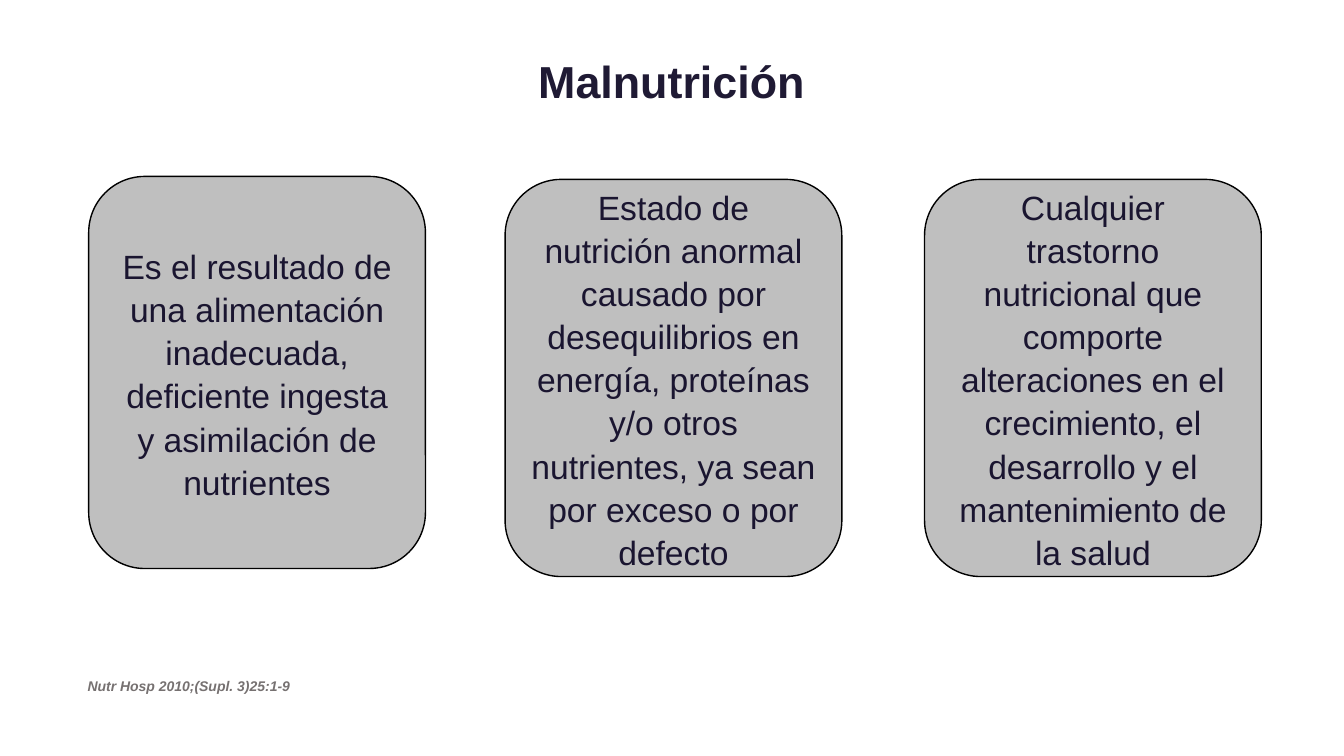
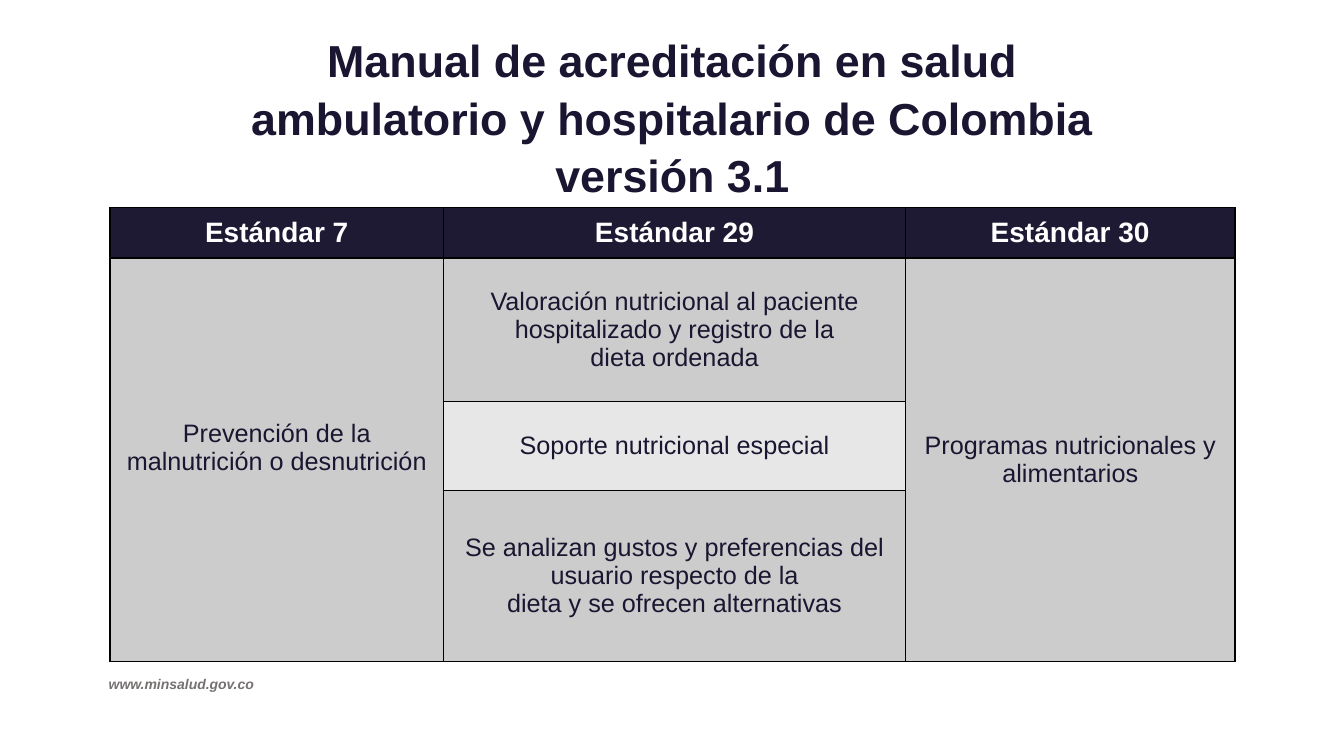
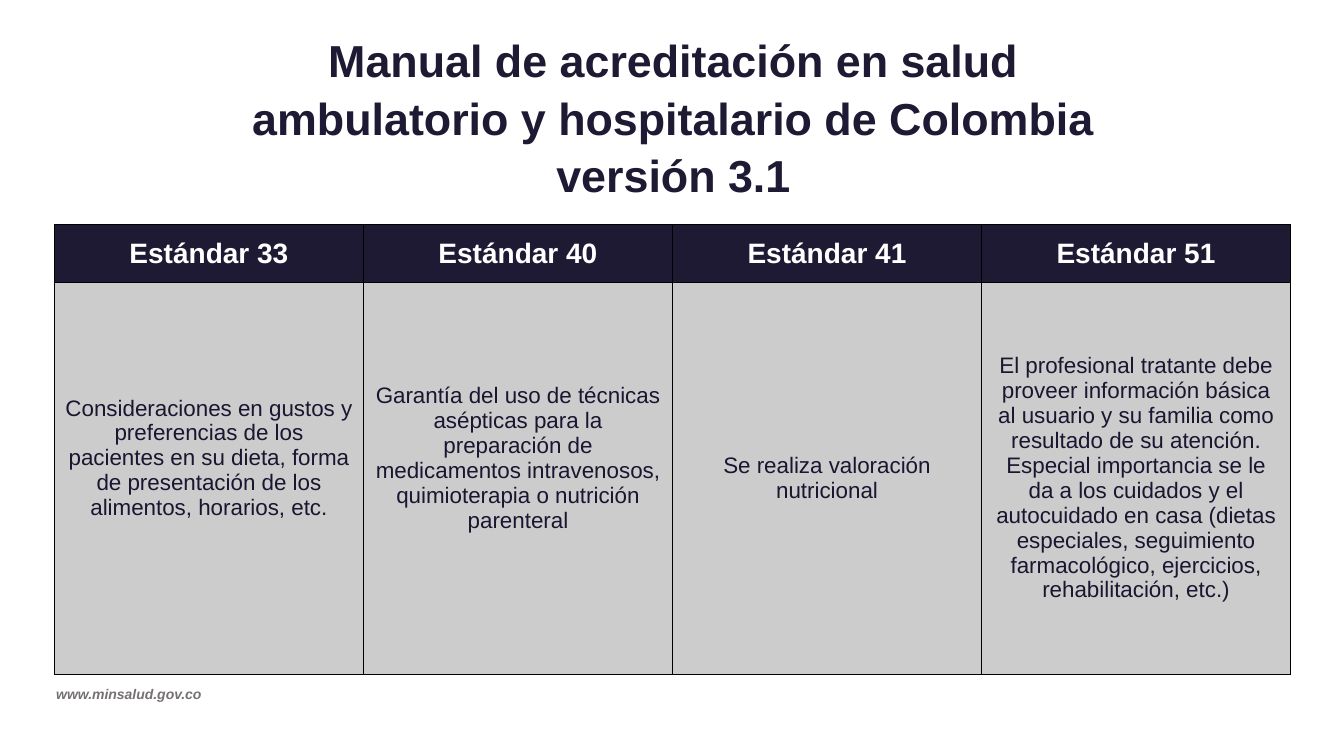
from lxml import etree
from pptx import Presentation
from pptx import util as u
from pptx.dml import color
from pptx.enum import shapes, text
from pptx.oxml import ns

FONT = "Arial"
NAVY, INK, WHITE, BLACK = "1F1A34", "1A1530", "FFFFFF", "000000"
CARD, CELL, CELL_LIGHT, SOURCE = "BFBFBF", "CCCCCC", "E7E7E7", "767171"
LINE_SPACING = 1.07
MANUAL = "Manual de acreditación en salud ambulatorio y hospitalario de Colombia versión 3.1"
WEBSITE = "www.minsalud.gov.co"


def rgb(value):
    return color.RGBColor.from_string(value)


def inches(box):
    return [u.Inches(length) for length in box]


def write(frame, lines, size, ink, bold=False, italic=False, centred=True, spacing=None):
    for index, line in enumerate(lines):
        para = frame.add_paragraph() if index else frame.paragraphs[0]
        para.text = line
        para.alignment = text.PP_ALIGN.CENTER if centred else text.PP_ALIGN.LEFT
        if spacing:
            para.line_spacing = spacing
        font = para.font
        font.name, font.size = FONT, u.Pt(size)
        font.bold, font.italic = bold, italic
        font.color.rgb = rgb(ink)


def add_label(page, box, line, size, ink, italic=False):
    frame = page.shapes.add_textbox(*inches(box)).text_frame
    frame.word_wrap = False
    frame.auto_size = text.MSO_AUTO_SIZE.SHAPE_TO_FIT_TEXT
    write(frame, [line], size, ink, bold=True, italic=italic, centred=False)


def add_source(page, box, line):
    add_label(page, box, line, 10, SOURCE, italic=True)


def add_title(page, box, ink):
    frame = page.shapes.add_textbox(*inches(box)).text_frame
    frame.word_wrap = True
    write(frame, [MANUAL], 32, ink, bold=True, spacing=LINE_SPACING)


def add_card(page, box, line):
    card = page.shapes.add_shape(shapes.MSO_SHAPE.ROUNDED_RECTANGLE, *inches(box))
    card.shadow.inherit = False
    card.fill.solid()
    card.fill.fore_color.rgb = rgb(CARD)
    card.line.color.rgb = rgb(BLACK)
    card.line.width = u.Pt(1)
    frame = card.text_frame
    frame.word_wrap = True
    frame.vertical_anchor = text.MSO_ANCHOR.MIDDLE
    write(frame, [line], 24, INK, spacing=LINE_SPACING)


def add_borders(cell):
    properties = cell._tc.get_or_add_tcPr()
    for position, side in enumerate(("a:lnL", "a:lnR", "a:lnT", "a:lnB")):
        border = etree.Element(ns.qn(side), w=str(u.Pt(1)))
        fill = etree.SubElement(border, ns.qn("a:solidFill"))
        etree.SubElement(fill, ns.qn("a:srgbClr"), val=BLACK)
        properties.insert(position, border)


def add_standards(page, corner, widths, heights, headers, body, size):
    frame = page.shapes.add_table(
        len(heights), len(widths), *inches((*corner, sum(widths), sum(heights))))
    table = frame.table
    table.first_row = table.horz_banding = False
    for column, width in zip(table.columns, widths):
        column.width = u.Inches(width)
    for row, height in zip(table.rows, heights):
        row.height = u.Inches(height)
    for row_index in range(len(heights)):
        for column_index in range(len(widths)):
            cell = table.cell(row_index, column_index)
            shade = CELL_LIGHT if row_index == 2 else CELL
            cell.fill.solid()
            cell.fill.fore_color.rgb = rgb(shade if row_index else NAVY)
            cell.vertical_anchor = text.MSO_ANCHOR.MIDDLE
            add_borders(cell)
    for column_index, header in enumerate(headers):
        write(table.cell(0, column_index).text_frame, [header], 20, WHITE, bold=True)
    for (row_index, column_index), lines in body.items():
        write(table.cell(row_index, column_index).text_frame, lines, size, INK)
    return table


def malnutrition_slide(page):
    add_label(page, (5.24, 0.48, 2.86, 0.64), "Malnutrición", 32, NAVY)
    add_source(page, (0.77, 6.67, 2.23, 0.27), "Nutr Hosp 2010;(Supl. 3)25:1-9")
    cards = [
        (0.88, 1.75, 3.89, "Es el resultado de una alimentación inadecuada, deficiente "
         "ingesta y asimilación de nutrientes"),
        (5.01, 1.78, 3.94, "Estado de nutrición anormal causado por desequilibrios en "
         "energía, proteínas y/o otros nutrientes, ya sean por exceso o por defecto"),
        (9.17, 1.78, 3.94, "Cualquier trastorno nutricional que comporte alteraciones en "
         "el crecimiento, el desarrollo y el mantenimiento de la salud"),
    ]
    for left, top, height, line in cards:
        add_card(page, (left, top, 3.34, height), line)


def hospital_slide(page):
    add_title(page, (2.39, 0.24, 8.56, 1.46), INK)
    body = {
        (1, 0): ["Prevención de la malnutrición o desnutrición"],
        (1, 1): ["Valoración nutricional al paciente hospitalizado y registro de la",
                 "dieta ordenada"],
        (1, 2): ["Programas nutricionales y alimentarios"],
        (2, 1): ["Soporte nutricional especial"],
        (3, 1): ["Se analizan gustos y preferencias del usuario respecto de la",
                 "dieta y se ofrecen alternativas"],
    }
    table = add_standards(
        page, (1.09, 2.06), (3.31, 4.58, 3.27), (0.5, 1.42, 0.89, 1.69),
        ("Estándar 7", "Estándar 29", "Estándar 30"), body, 18)
    for column_index in (0, 2):
        table.cell(1, column_index).merge(table.cell(3, column_index))
    table.cell(1, 0).margin_bottom = u.Inches(0.29)
    add_source(page, (0.98, 6.65, 1.67, 0.27), WEBSITE)


def care_slide(page):
    add_title(page, (2.24, 0.24, 8.88, 1.46), NAVY)
    body = {
        (1, 0): ["Consideraciones en gustos y preferencias de los pacientes en su dieta, "
                 "forma de presentación de los alimentos, horarios, etc."],
        (1, 1): ["Garantía del uso de técnicas asépticas para la preparación de "
                 "medicamentos intravenosos, quimioterapia o nutrición parenteral"],
        (1, 2): ["Se realiza valoración nutricional"],
        (1, 3): ["El profesional tratante debe proveer información básica al usuario y su "
                 "familia como resultado de su atención. Especial importancia se le da a "
                 "los cuidados y el autocuidado en casa (dietas especiales, seguimiento "
                 "farmacológico, ejercicios, rehabilitación, etc.)"],
    }
    table = add_standards(
        page, (0.54, 2.23), [12.26 / 4] * 4, (0.57, 3.89),
        ("Estándar 33", "Estándar 40", "Estándar 41", "Estándar 51"), body, 16)
    for column_index in (0, 1):
        table.cell(1, column_index).margin_bottom = u.Inches(0.45)
    add_source(page, (0.46, 6.75, 1.67, 0.27), WEBSITE)


def main():
    deck = Presentation()
    deck.slide_width, deck.slide_height = inches((13.33, 7.5))
    for build in (malnutrition_slide, hospital_slide, care_slide):
        build(deck.slides.add_slide(deck.slide_layouts[6]))
    deck.save("out.pptx")


if __name__ == "__main__":
    main()
